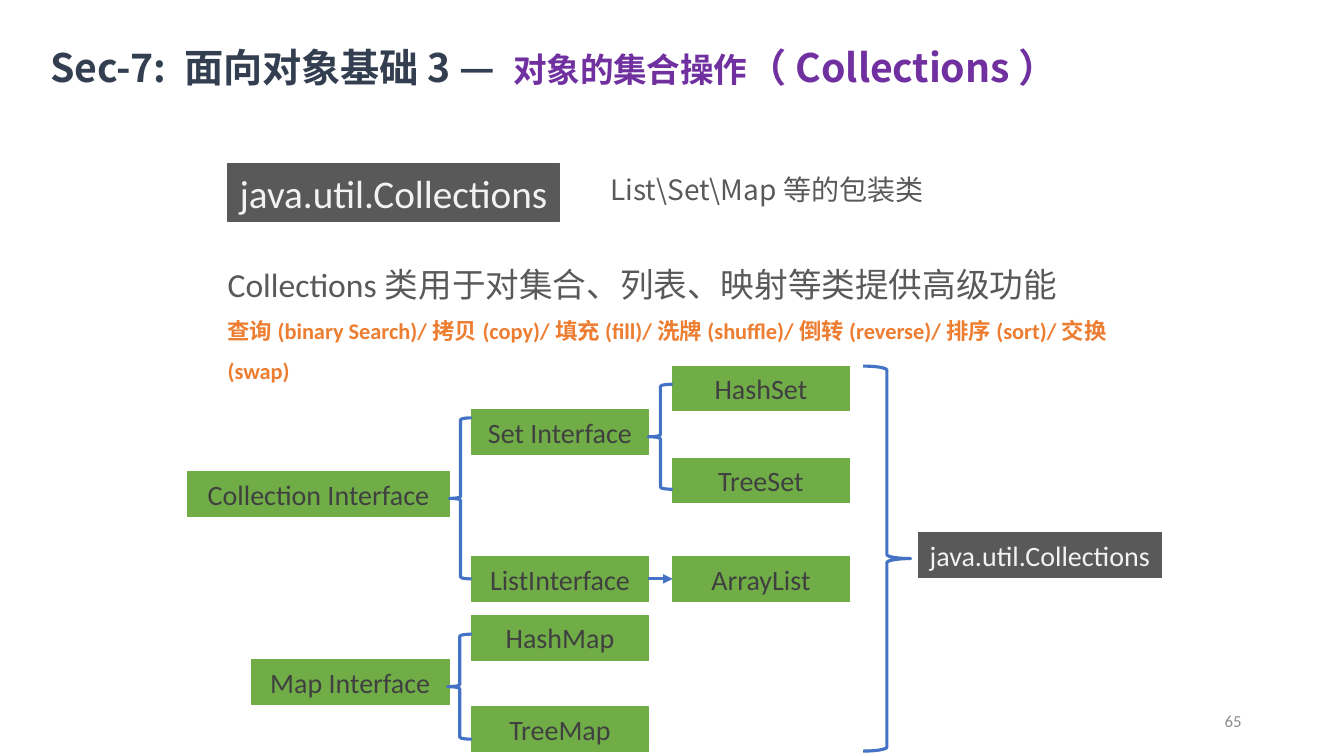
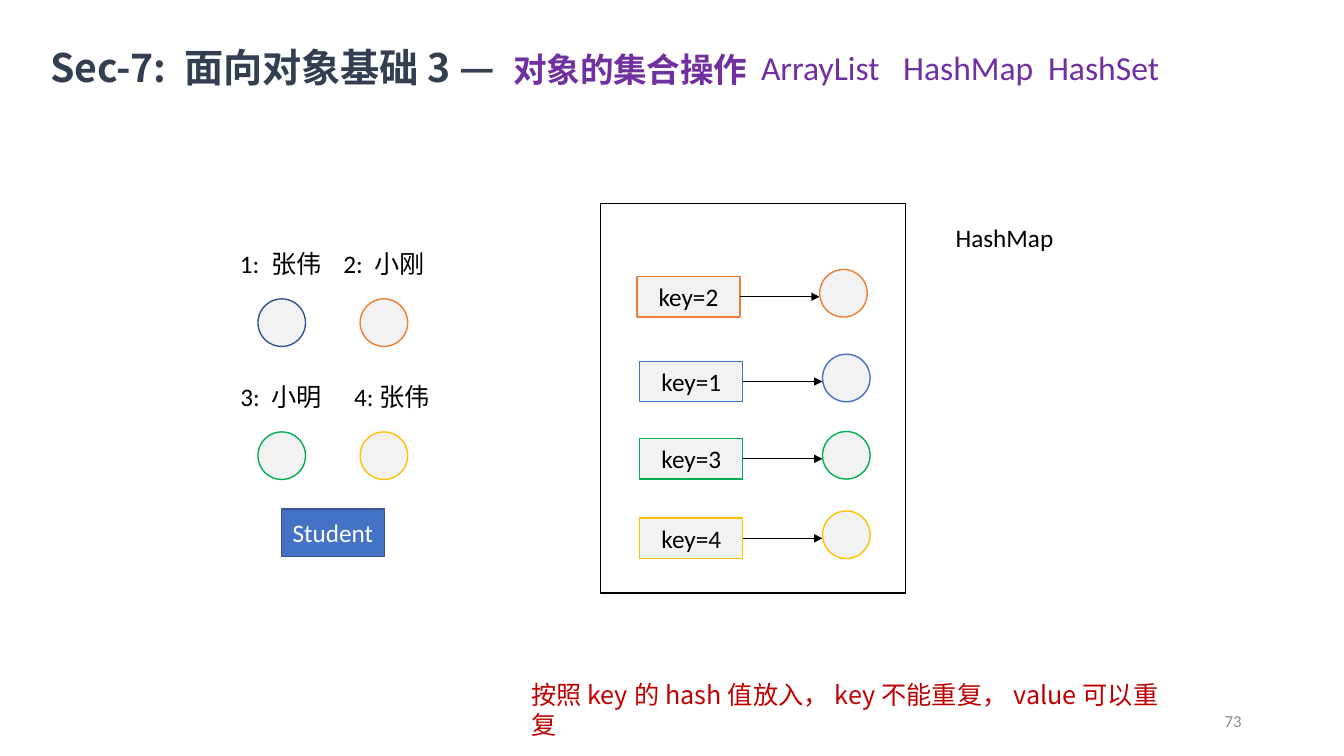
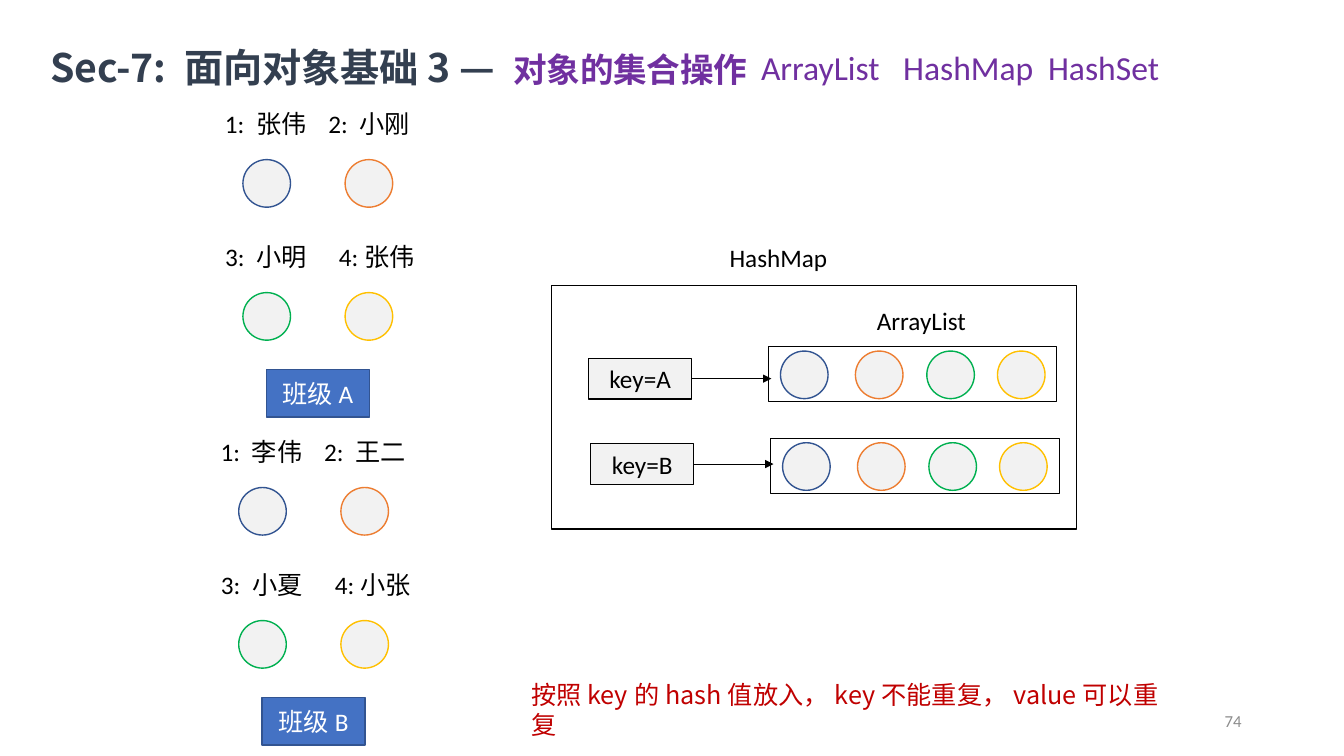
from lxml import etree
from pptx import Presentation
from pptx.dml.color import RGBColor
from pptx.enum.shapes import MSO_CONNECTOR, MSO_SHAPE
from pptx.enum.text import MSO_ANCHOR, PP_ALIGN
from pptx.oxml.ns import qn
from pptx.util import Pt

RECT, OVAL = MSO_SHAPE.RECTANGLE, MSO_SHAPE.OVAL
LEFT_BRACE, RIGHT_BRACE = MSO_SHAPE.LEFT_BRACE, MSO_SHAPE.RIGHT_BRACE
STRAIGHT = MSO_CONNECTOR.STRAIGHT
TOP, MIDDLE = MSO_ANCHOR.TOP, MSO_ANCHOR.MIDDLE
LEFT, CENTER, RIGHT = PP_ALIGN.LEFT, PP_ALIGN.CENTER, PP_ALIGN.RIGHT

LATIN, CJK = "Calibri", "Noto Sans CJK SC"
BLACK = RGBColor(0x00, 0x00, 0x00)
WHITE = RGBColor(0xFF, 0xFF, 0xFF)
PALE = RGBColor(0xF2, 0xF2, 0xF2)
GREY = RGBColor(0x8C, 0x8C, 0x8C)
DARK = RGBColor(0x59, 0x59, 0x59)
CHARCOAL = RGBColor(0x40, 0x40, 0x40)
SLATE = RGBColor(0x33, 0x3F, 0x50)
PURPLE = RGBColor(0x70, 0x30, 0xA0)
BLUE = RGBColor(0x44, 0x72, 0xC4)
NAVY = RGBColor(0x32, 0x54, 0x91)
ORANGE = RGBColor(0xED, 0x7D, 0x31)
LEAF = RGBColor(0x70, 0xAD, 0x47)
GREEN = RGBColor(0x00, 0xB0, 0x50)
GOLD = RGBColor(0xFF, 0xC0, 0x00)
RED = RGBColor(0xC0, 0x00, 0x00)

STUDENT_COLORS = (NAVY, ORANGE, GREEN, GOLD)
DOT = 34
KEY_W, KEY_H = 73.5, 29


def style(r, size, color, font=LATIN, bold=False):
    """Format one run, with a CJK face for Chinese text."""
    r.font.size, r.font.bold, r.font.name = Pt(size), bold, font
    r.font.color.rgb = color
    etree.SubElement(r._r.get_or_add_rPr(), qn("a:ea"), typeface=CJK)


def text(s, box, words, size, color, font=LATIN, align=LEFT, wrap=True, anchor=TOP):
    """Add a text box with one styled paragraph and return its frame."""
    tf = s.shapes.add_textbox(*map(Pt, box)).text_frame
    tf.word_wrap, tf.vertical_anchor = wrap, anchor
    p = tf.paragraphs[0]
    p.text, p.alignment = words, align
    style(p.runs[0], size, color, font)
    return tf


def shape(s, kind, box, fill, line, width, words="", size=18, color=BLACK, wrap=True):
    """Add a preset shape, filled or hollow, with optional centred text."""
    sp = s.shapes.add_shape(kind, *map(Pt, box))
    sp.shadow.inherit = False
    if fill is None:
        sp.fill.background()
    else:
        sp.fill.solid()
        sp.fill.fore_color.rgb = fill
    sp.line.color.rgb, sp.line.width = line, Pt(width)
    if words:
        tf = sp.text_frame
        tf.word_wrap, tf.vertical_anchor = wrap, MIDDLE
        p = tf.paragraphs[0]
        p.text, p.alignment = words, CENTER
        style(p.runs[0], size, color)


def arrow(s, x, y, length, color, width):
    """Draw a horizontal arrow to the right."""
    c = s.shapes.add_connector(STRAIGHT, Pt(x), Pt(y), Pt(x + length), Pt(y))
    c.line.color.rgb, c.line.width = color, Pt(width)
    etree.SubElement(c.line._get_or_add_ln(), qn("a:tailEnd"), type="triangle")
    etree.SubElement(c._element.spPr, qn("a:effectLst"))


def dot(s, x, y, color):
    """Draw one student circle."""
    shape(s, OVAL, (x, y, DOT, DOT), PALE, color, 1)


def new_slide(prs, number, ending=""):
    """Add a slide with the shared title and page number."""
    s = prs.slides.add_slide(prs.slide_layouts[6])
    text(s, (678, 500.5, 216, 28.75), number, 12, GREY, align=RIGHT, anchor=MIDDLE)
    tf = text(s, (36, 30.25, 767.5, 34.5), "Sec-7: 面向对象基础3 — ", 28, SLATE, CJK)
    tf.margin_left = tf.margin_right = tf.margin_bottom = 0
    tf.margin_top = Pt(0.7)
    p = tf.paragraphs[0]
    p.space_before = Pt(0.9)
    p.runs[0].font.bold = True
    p.runs[0]._r.rPr.set("spc", "-10")
    for words, size in (("对象的集合操作", 24), (ending, 28)):
        if words:
            r = p.add_run()
            r.text = words
            style(r, size, PURPLE, CJK, True)
            r._r.rPr.set("spc", "-10")
    return s


def map_slide(prs, number):
    """Add a slide with the class names in its title and the note on keys."""
    s = new_slide(prs, number)
    tf = text(s, (536.5, 30.25, 300, 36), "ArrayList\tHashMap\tHashSet", 24, PURPLE)
    tabs = etree.SubElement(tf.paragraphs[0]._p.get_or_add_pPr(), qn("a:tabLst"))
    for stop in (101.5, 205):
        etree.SubElement(tabs, qn("a:tab"), pos=str(Pt(stop)), algn="l")
    text(s, (372.25, 481.75, 465, 29), "按照key的hash值放入，key不能重复，value可以重复", 18, RED, CJK)
    return s


def intro(s, x, y):
    """Place the class name and its description."""
    shape(s, RECT, (x + 7, y, 237, 41), DARK, DARK, 0.75, "java.util.Collections", 28, PALE, False)
    text(s, (x + 273.5, y + 3, 300, 31.5), "List\\Set\\Map等的包装类", 20, DARK, CJK)
    tf = text(s, (x, y + 53.25, 647.25, 77), "Collections类用于对集合、列表、映射等类提供高级功能", 24, DARK)
    p = tf.add_paragraph()
    p.text = ("查询(binary Search)/拷贝(copy)/填充(fill)/洗牌(shuffle)/"
              "倒转(reverse)/排序(sort)/交换(swap)")
    style(p.runs[0], 16, ORANGE, bold=True)
    for p in tf.paragraphs:
        p.line_spacing = 1.5


def hierarchy(s, x, y):
    """Place the tree of collection types."""
    height, leaf_w, col2, col3 = 32, 126, 203, 346.5
    nodes = (
        ("Collection Interface", 0, 75.5, 187),
        ("Set Interface", col2, 31, leaf_w),
        ("ListInterface", col2, 136, leaf_w),
        ("HashSet", col3, 0, leaf_w),
        ("TreeSet", col3, 65.75, leaf_w),
        ("ArrayList", col3, 136, leaf_w),
        ("Map Interface", 45.5, 209.5, 141.5),
        ("HashMap", col2, 178, leaf_w),
        ("TreeMap", col2, 243.5, leaf_w),
    )
    for words, dx, dy, w in nodes:
        shape(s, RECT, (x + dx, y + dy, w, height), LEAF, LEAF, 0.75, words, 20, CHARCOAL)
    braces = (
        (LEFT_BRACE, 187, 37, 16, 115),
        (LEFT_BRACE, 329, 13, 17.5, 75),
        (LEFT_BRACE, 185.75, 191.5, 17.25, 75),
        (RIGHT_BRACE, 482.5, 0, 34, 275),
    )
    for kind, dx, dy, w, h in braces:
        shape(s, kind, (x + dx, y + dy, w, h), None, BLUE, 2.25)
    arrow(s, x + col2 + leaf_w, y + 152, 17.5, BLUE, 2.25)
    shape(s, RECT, (x + 522, y + 119, 173.5, height), DARK, DARK, 0.75,
          "java.util.Collections", 20, PALE, False)


def student_group(s, x, y, names, tag):
    """Place four named students in two rows above a tag."""
    labels = ((0, 90), (74, 90), (5.75, 79), (85, 79))
    for i, (name, (dx, w), color) in enumerate(zip(names, labels, STUDENT_COLORS)):
        top = y + i // 2 * 95
        text(s, (x + dx, top, w, 29), name, 18, BLACK, align=CENTER)
        dot(s, x + 28.75 + i % 2 * 73, top + 40, color)
    shape(s, RECT, (x + 45.5, y + 190, KEY_W, DOT), BLUE, NAVY, 1, tag, color=WHITE)


def key_box(s, x, y, key, color):
    """Place a key with the arrow to its value."""
    shape(s, RECT, (x, y, KEY_W, KEY_H), PALE, color, 1, key)
    arrow(s, x + KEY_W, y + KEY_H / 2, 57, BLACK, 0.5)


def array_list(s, x, y):
    """Place a list that holds four students."""
    shape(s, RECT, (x, y, 206, 39), None, BLACK, 0.75)
    for dx, color in zip((8.5, 62, 113, 163.5), STUDENT_COLORS):
        dot(s, x + dx, y + 3, color)


def build_collections(prs):
    """Build the overview of Collections."""
    s = new_slide(prs, "65", "（Collections）")
    intro(s, 155.5, 117)
    hierarchy(s, 134, 261.5)


def build_students(prs):
    """Build the map from keys to students."""
    s = map_slide(prs, "73")
    student_group(s, 155.5, 173.5, ("1: 张伟", "2: 小刚", "3: 小明", "4:张伟"), "Student")
    text(s, (675.5, 155.5, 85, 29), "HashMap", 18, BLACK, wrap=False)
    shape(s, RECT, (429, 145.5, 218, 278), None, BLACK, 1)
    rows = (("key=2", 455, 197.5, ORANGE), ("key=1", 457, 258, BLUE),
            ("key=3", 457, 313.25, GREEN), ("key=4", 457, 370, GOLD))
    for key, x, y, color in rows:
        key_box(s, x, y, key, color)
        dot(s, x + 130.5, y - 5, color)


def build_classes(prs):
    """Build the map from keys to lists of students."""
    s = map_slide(prs, "74")
    student_group(s, 144.75, 74, ("1: 张伟", "2: 小刚", "3: 小明", "4:张伟"), "班级A")
    student_group(s, 141.75, 308.25, ("1: 李伟", "2: 王二", "3: 小夏", "4:小张"), "班级B")
    text(s, (514, 169.25, 85, 29), "HashMap", 18, BLACK, wrap=False)
    text(s, (619.25, 214.5, 78.5, 29), "ArrayList", 18, BLACK, wrap=False)
    shape(s, RECT, (394, 204, 375, 174), None, BLACK, 1)
    for key, x, y, list_y in (("key=A", 420.5, 256, 247.75), ("key=B", 422, 317, 313.25)):
        key_box(s, x, y, key, BLACK)
        array_list(s, x + 128.5, list_y)


def main():
    """Build and save the deck."""
    prs = Presentation()
    prs.slide_width, prs.slide_height = Pt(960), Pt(540)
    build_collections(prs)
    build_students(prs)
    build_classes(prs)
    prs.save("out.pptx")


if __name__ == "__main__":
    main()
